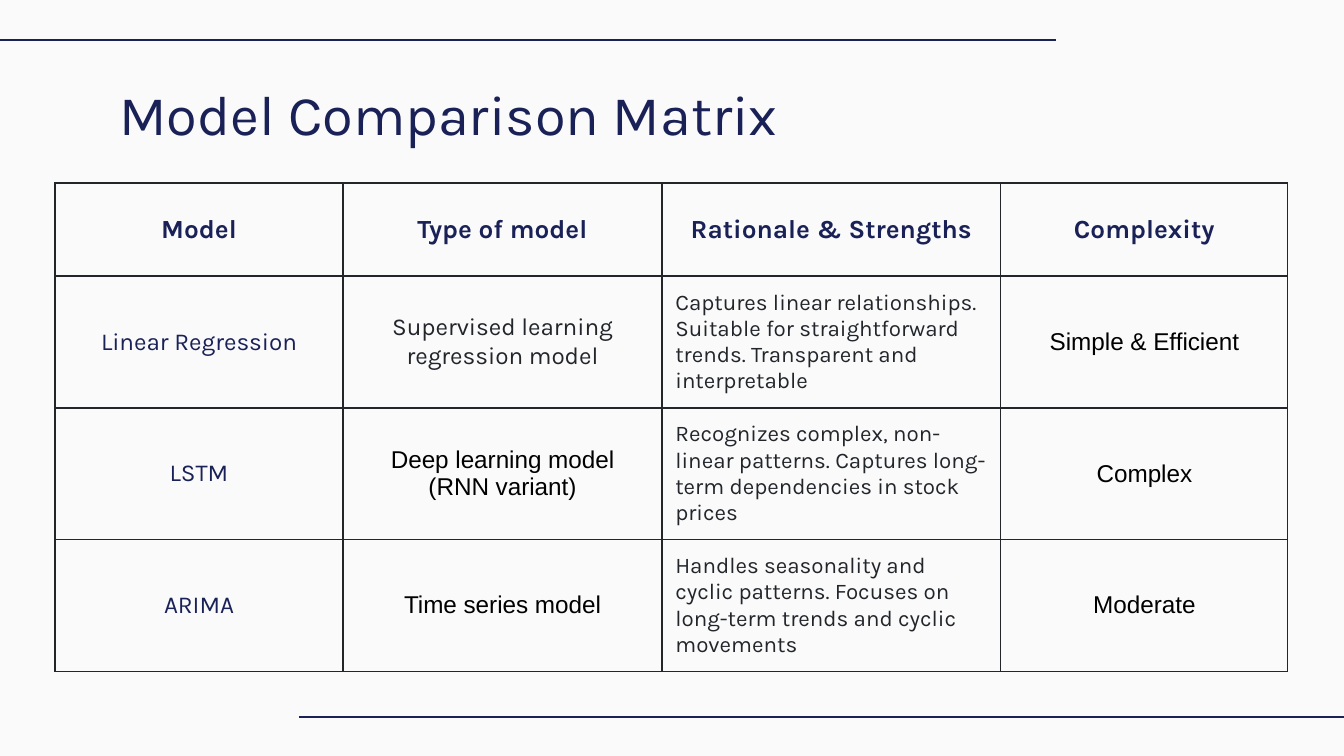
from lxml.etree import SubElement
from pptx import Presentation
from pptx.dml.color import RGBColor
from pptx.enum.shapes import MSO_CONNECTOR as CONN
from pptx.enum.text import MSO_ANCHOR as ANCHOR, MSO_AUTO_SIZE as AUTO, PP_ALIGN as ALIGN
from pptx.oxml.ns import qn
from pptx.util import Emu, Pt

PX_PER_INCH = 134.4
COLORS = {"paper": "FAFAFA", "navy": "192157", "ink": "22262B", "black": "000000"}
HEADING = ("Karla", 14, "navy", True, ALIGN.CENTER)
NAME = ("Karla", 13, "navy", False, ALIGN.CENTER)
KARLA = ("Karla", 13, "ink", False, ALIGN.CENTER)
ARIAL = ("Arial", 13, "black", False, ALIGN.CENTER)
DETAIL = ("Karla", 12, "ink", False, ALIGN.LEFT)
COL_WIDTHS = [288, 319, 339, 287]
ROW_HEIGHTS = [93, 132, 131, 132]
HEADERS = ["Model", "Type of model", "Rationale & Strengths", "Complexity"]
MODELS = [
    ("Linear Regression", "Supervised learning regression model",
     "Captures linear relationships. Suitable for straightforward trends. "
     "Transparent and interpretable", "Simple & Efficient"),
    ("LSTM", "Deep learning model\n(RNN variant)",
     "Recognizes complex, non-linear patterns. Captures long-term dependencies "
     "in stock prices", "Complex"),
    ("ARIMA", "Time series model",
     "Handles seasonality and cyclic patterns. Focuses on long-term trends "
     "and cyclic movements", "Moderate"),
]


def px(n):
    return Emu(round(n * 914400 / PX_PER_INCH))


def rgb(name):
    return RGBColor.from_string(COLORS[name])


def set_text(tf, text, style):
    font, size, color, bold, align = style
    tf.text = text
    for p in tf.paragraphs:
        p.alignment = align
        for r in p.runs:
            r.font.name, r.font.size, r.font.bold = font, Pt(size), bold
            r.font.color.rgb = rgb(color)


def add_rule(s, x1, x2, y):
    line = s.shapes.add_connector(CONN.STRAIGHT, px(x1), px(y), px(x2), px(y))
    line.line.color.rgb = rgb("navy")
    line.line.width = Pt(0.75)
    SubElement(line._element.spPr, qn("a:effectLst"))


def add_title(s, text):
    sp = s.shapes.title
    sp.left, sp.top, sp.width, sp.height = px(106), px(66), px(1133), px(85)
    tf = sp.text_frame
    tf.auto_size = AUTO.NONE
    tf.vertical_anchor = ANCHOR.TOP
    tf.margin_left = tf.margin_right = tf.margin_top = tf.margin_bottom = Pt(7.2)
    set_text(tf, text, ("Karla", 30, "navy", False, ALIGN.LEFT))


def set_borders(cell):
    tc_pr = cell._tc.get_or_add_tcPr()
    for side in ("lnL", "lnR", "lnT", "lnB"):
        ln = SubElement(tc_pr, qn(f"a:{side}"), w=str(Pt(0.75)))
        fill = SubElement(ln, qn("a:solidFill"))
        SubElement(fill, qn("a:srgbClr"), val=COLORS["ink"])


def fill_cell(cell, text, style):
    cell.margin_left = cell.margin_right = Pt(7.2)
    cell.margin_top = cell.margin_bottom = Pt(7.2)
    cell.vertical_anchor = ANCHOR.MIDDLE
    set_borders(cell)
    cell.fill.background()
    set_text(cell.text_frame, text, style)


def add_matrix(s):
    table = s.shapes.add_table(
        len(ROW_HEIGHTS), len(COL_WIDTHS), px(55), px(183),
        px(sum(COL_WIDTHS)), px(sum(ROW_HEIGHTS))).table
    table.first_row = table.horz_banding = False
    for col, width in zip(table.columns, COL_WIDTHS):
        col.width = px(width)
    for row, height in zip(table.rows, ROW_HEIGHTS):
        row.height = px(height)
    for c, text in enumerate(HEADERS):
        fill_cell(table.cell(0, c), text, HEADING)
    for r, values in enumerate(MODELS, 1):
        styles = (NAME, KARLA if r == 1 else ARIAL, DETAIL, ARIAL)
        for c, (text, style) in enumerate(zip(values, styles)):
            fill_cell(table.cell(r, c), text, style)


def main():
    prs = Presentation()
    prs.slide_width, prs.slide_height = px(1344), px(756)
    s = prs.slides.add_slide(prs.slide_layouts[5])
    s.background.fill.solid()
    s.background.fill.fore_color.rgb = rgb("paper")
    add_rule(s, 299, 1356, 717)
    add_rule(s, -2, 1056, 40)
    add_title(s, "Model Comparison Matrix")
    add_matrix(s)
    prs.save("out.pptx")


if __name__ == "__main__":
    main()
